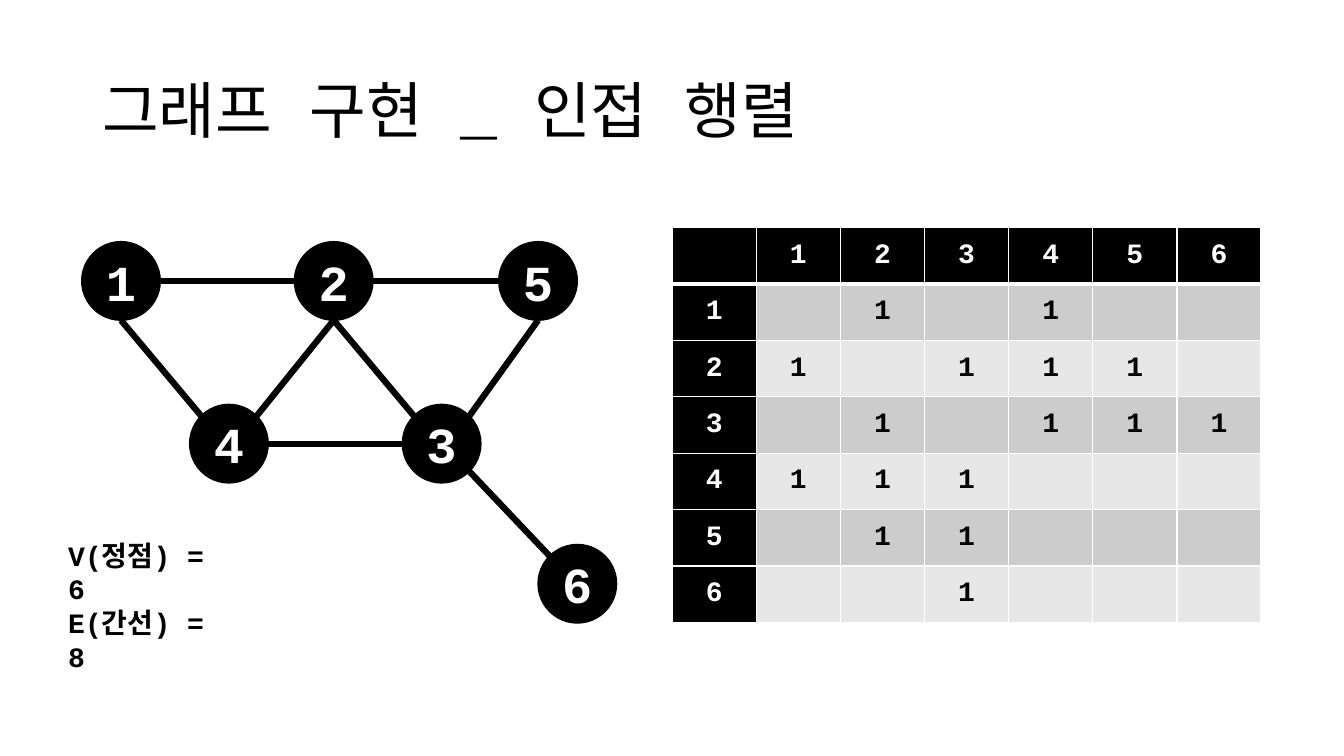
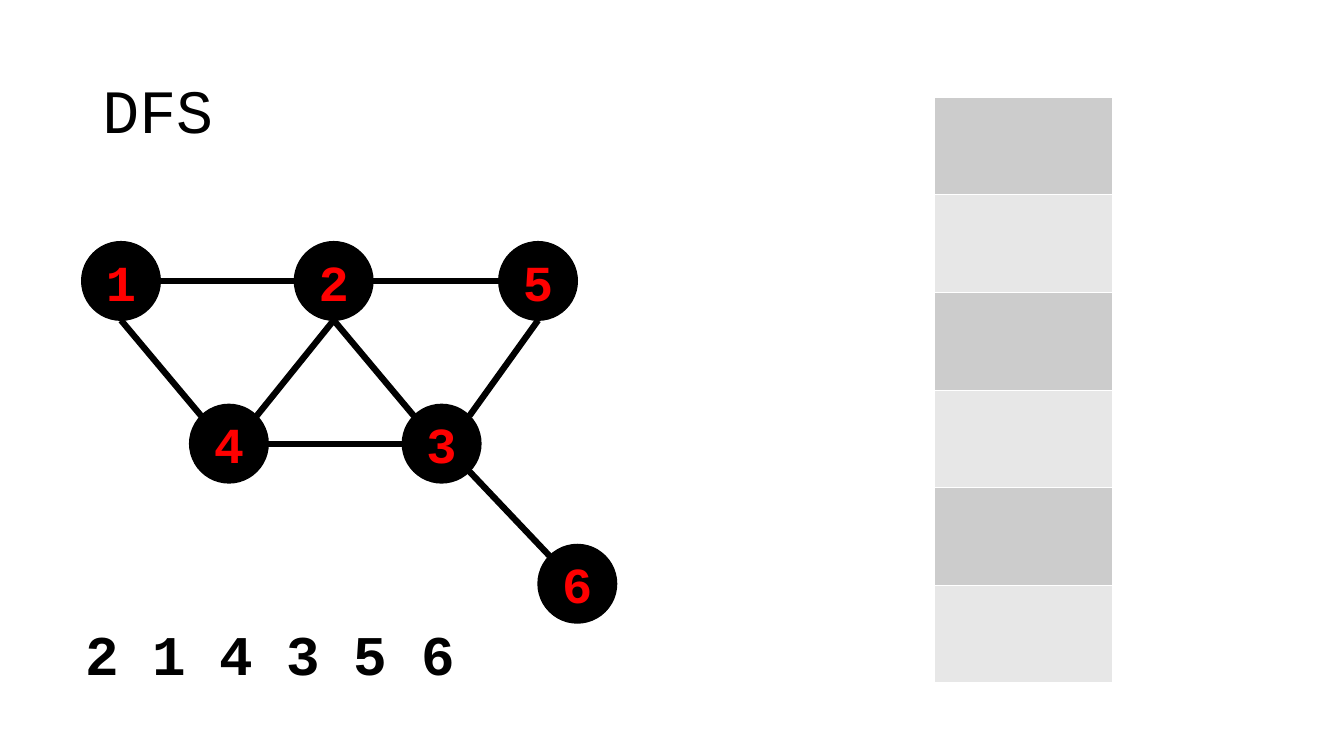
from dataclasses import dataclass
from math import hypot

from lxml.etree import SubElement
from pptx import Presentation
from pptx.dml.color import RGBColor
from pptx.enum.lang import MSO_LANGUAGE_ID
from pptx.enum.shapes import MSO_CONNECTOR, MSO_SHAPE
from pptx.enum.text import MSO_ANCHOR, PP_ALIGN
from pptx.oxml import parse_xml
from pptx.oxml.ns import nsdecls, qn
from pptx.util import Cm, Pt


@dataclass(frozen=True)
class Theme:
    font: str = "Courier New"
    black: RGBColor = RGBColor(0, 0, 0)
    white: RGBColor = RGBColor(255, 255, 255)
    red: RGBColor = RGBColor(255, 0, 0)
    bands: tuple = (RGBColor(0xCC, 0xCC, 0xCC), RGBColor(0xE7, 0xE7, 0xE7))
    title: int = 44
    order: int = 40
    node: int = 36
    body: int = 20
    edge: float = 4.5
    border: int = 1
    header_border: int = 3


THEME = Theme()
DIAMETER = 1.98
TOP, MIDDLE, BOTTOM = 7.08, 11.18, 14.71
NODES = {
    1: (3.05, TOP),
    2: (8.41, TOP),
    4: (5.77, MIDDLE),
    3: (11.13, MIDDLE),
    5: (13.56, TOP),
    6: (14.55, BOTTOM),
}
RIGHT, LEFT, DOWN = (1, 0), (-1, 0), (0, 1)
UP_LEFT, UP_RIGHT, DOWN_RIGHT = (-1, -1), (1, -1), (1, 1)
EDGES = [
    (1, RIGHT, 2, LEFT),
    (1, DOWN, 4, UP_LEFT),
    (4, UP_RIGHT, 2, DOWN),
    (5, LEFT, 2, RIGHT),
    (3, UP_LEFT, 2, DOWN),
    (3, UP_RIGHT, 5, DOWN),
    (3, DOWN_RIGHT, 6, UP_LEFT),
    (3, LEFT, 4, RIGHT),
]


def write(tf, text, size=THEME.body, color=THEME.black, bold=True,
          align=PP_ALIGN.LEFT, anchor=MSO_ANCHOR.TOP, spacing=None):
    tf.word_wrap = True
    tf.vertical_anchor = anchor
    for i, line in enumerate(text.split("\n")):
        p = tf.paragraphs[0] if i == 0 else tf.add_paragraph()
        p.alignment = align
        p.line_spacing = spacing
        r = p.add_run()
        r.text = line
        r.font.name = THEME.font
        r.font.size = Pt(size)
        r.font.bold = bold
        r.font.color.rgb = color
        r.font.language_id = MSO_LANGUAGE_ID.KOREAN
        SubElement(r.font._element, qn("a:ea"), typeface=THEME.font)


def add_text(s, text, left, top, width, height, **fmt):
    sp = s.shapes.add_textbox(Cm(left), Cm(top), Cm(width), Cm(height))
    write(sp.text_frame, text, **fmt)


def add_titled_slide(prs, title):
    s = prs.slides.add_slide(prs.slide_layouts[6])
    add_text(s, title, 2.33, 1.02, 29.21, 3.68, size=THEME.title, bold=False,
             anchor=MSO_ANCHOR.MIDDLE, spacing=0.9)
    return s


def add_node(s, number, color):
    x, y = NODES[number]
    sp = s.shapes.add_shape(MSO_SHAPE.OVAL, Cm(x - DIAMETER / 2),
                            Cm(y - DIAMETER / 2), Cm(DIAMETER), Cm(DIAMETER))
    sp.shadow.inherit = False
    sp.fill.solid()
    sp.fill.fore_color.rgb = THEME.black
    sp.line.color.rgb = THEME.black
    sp.line.width = Pt(1)
    write(sp.text_frame, str(number), size=THEME.node, color=color,
          align=PP_ALIGN.CENTER, anchor=MSO_ANCHOR.MIDDLE)


def rim_point(number, direction):
    scale = DIAMETER / 2 / hypot(*direction)
    return [Cm(c + d * scale) for c, d in zip(NODES[number], direction)]


def add_edge(s, start, leaving, end, entering):
    line = s.shapes.add_connector(MSO_CONNECTOR.STRAIGHT,
                                  *rim_point(start, leaving),
                                  *rim_point(end, entering))
    line.line.color.rgb = THEME.black
    line.line.width = Pt(THEME.edge)
    SubElement(line._element.spPr, qn("a:effectLst"))


def add_graph(s, color):
    for number in NODES:
        add_node(s, number, color)
    for edge in EDGES:
        add_edge(s, *edge)


def set_borders(cell, top, bottom):
    widths = {"lnL": THEME.border, "lnR": THEME.border,
              "lnT": top, "lnB": bottom}
    tcPr = cell._tc.get_or_add_tcPr()
    for i, (tag, width) in enumerate(widths.items()):
        tcPr.insert(i, parse_xml(
            f'<a:{tag} {nsdecls("a")} w="{Pt(width)}"><a:solidFill>'
            f'<a:srgbClr val="{THEME.white}"/></a:solidFill></a:{tag}>'))


def add_grid(s, rows, left, top, col_width, row_height, headed=False):
    n_rows, n_cols = len(rows), len(rows[0])
    table = s.shapes.add_table(n_rows, n_cols, Cm(left), Cm(top),
                               Cm(col_width * n_cols),
                               Cm(row_height * n_rows)).table
    table.first_row = headed
    table.first_col = headed
    for col in table.columns:
        col.width = Cm(col_width)
    for i, row in enumerate(rows):
        table.rows[i].height = Cm(row_height)
        for j, text in enumerate(row):
            cell = table.cell(i, j)
            is_header = headed and 0 in (i, j)
            cell.fill.solid()
            cell.fill.fore_color.rgb = (
                THEME.black if is_header else THEME.bands[(i - headed) % 2])
            set_borders(
                cell,
                THEME.header_border if headed and i == 1 else THEME.border,
                THEME.header_border if headed and i == 0 else THEME.border)
            if text:
                write(cell.text_frame, text, align=PP_ALIGN.CENTER,
                      color=THEME.white if is_header else THEME.black)
            cell.vertical_anchor = MSO_ANCHOR.MIDDLE


def adjacency_rows():
    pairs = {frozenset((a, b)) for a, _, b, _ in EDGES}
    numbers = sorted(NODES)
    header = [""] + [str(n) for n in numbers]
    return [header] + [
        [str(a)] + ["1" if frozenset((a, b)) in pairs else "" for b in numbers]
        for a in numbers]


def add_matrix_slide(prs):
    s = add_titled_slide(prs, "그래프 구현 _ 인접 행렬")
    add_graph(s, THEME.white)
    add_grid(s, adjacency_rows(), 16.94, 5.74, 2.12, 1.42, headed=True)
    add_text(s, f"V(정점) = {len(NODES)}\nE(간선) = {len(EDGES)}",
             1.47, 13.44, 4.34, 1.96)


def add_dfs_slide(prs):
    s = add_titled_slide(prs, "DFS")
    add_graph(s, THEME.red)
    add_grid(s, [[""]] * len(NODES), 23.55, 2.45, 4.5, 2.46)
    add_text(s, "2 1 4 3 5 6 ", 1.9, 15.49, 9.91, 1.96, size=THEME.order)


def main():
    prs = Presentation()
    prs.slide_width, prs.slide_height = Cm(33.87), Cm(19.05)
    add_matrix_slide(prs)
    add_dfs_slide(prs)
    prs.save("out.pptx")


main()
